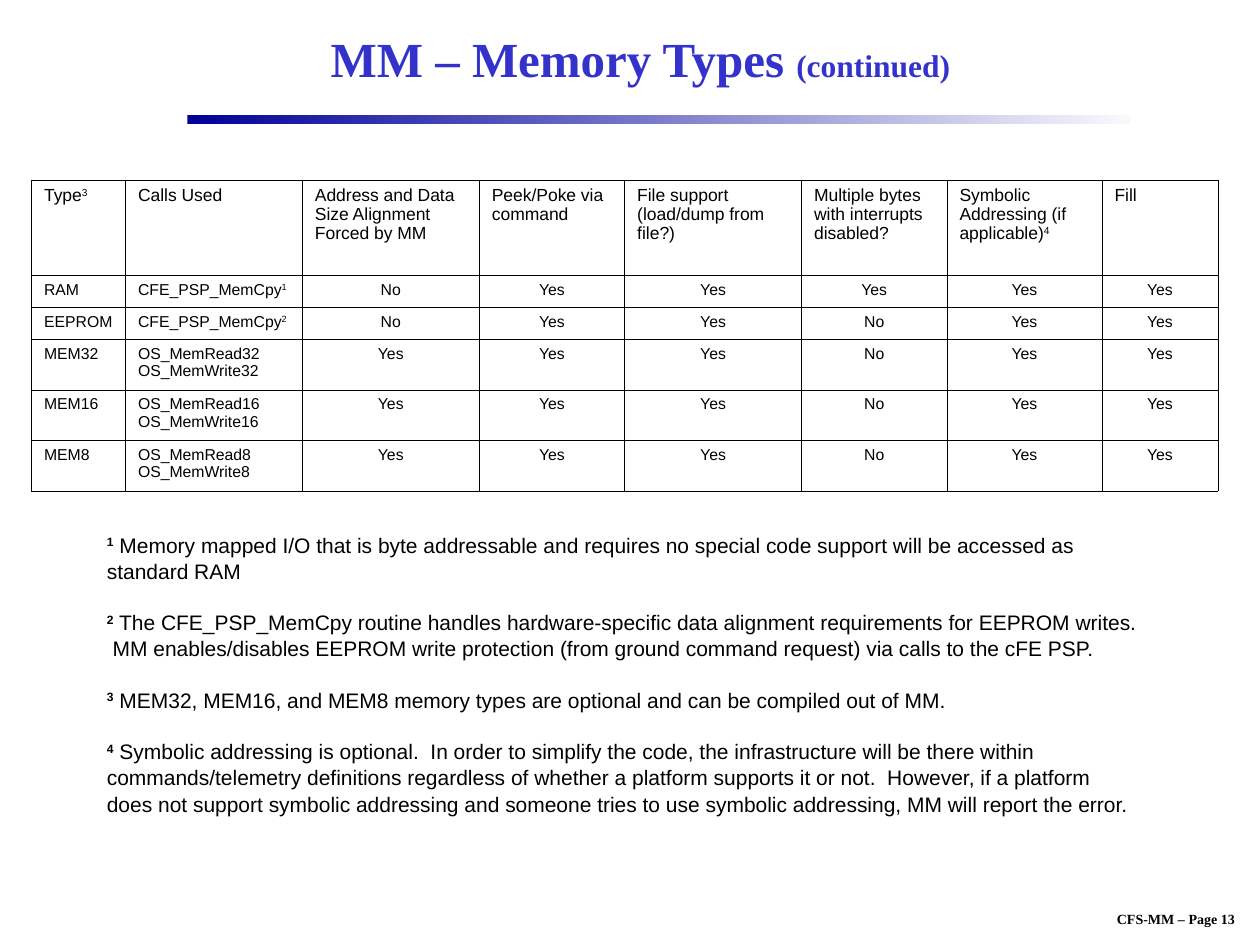
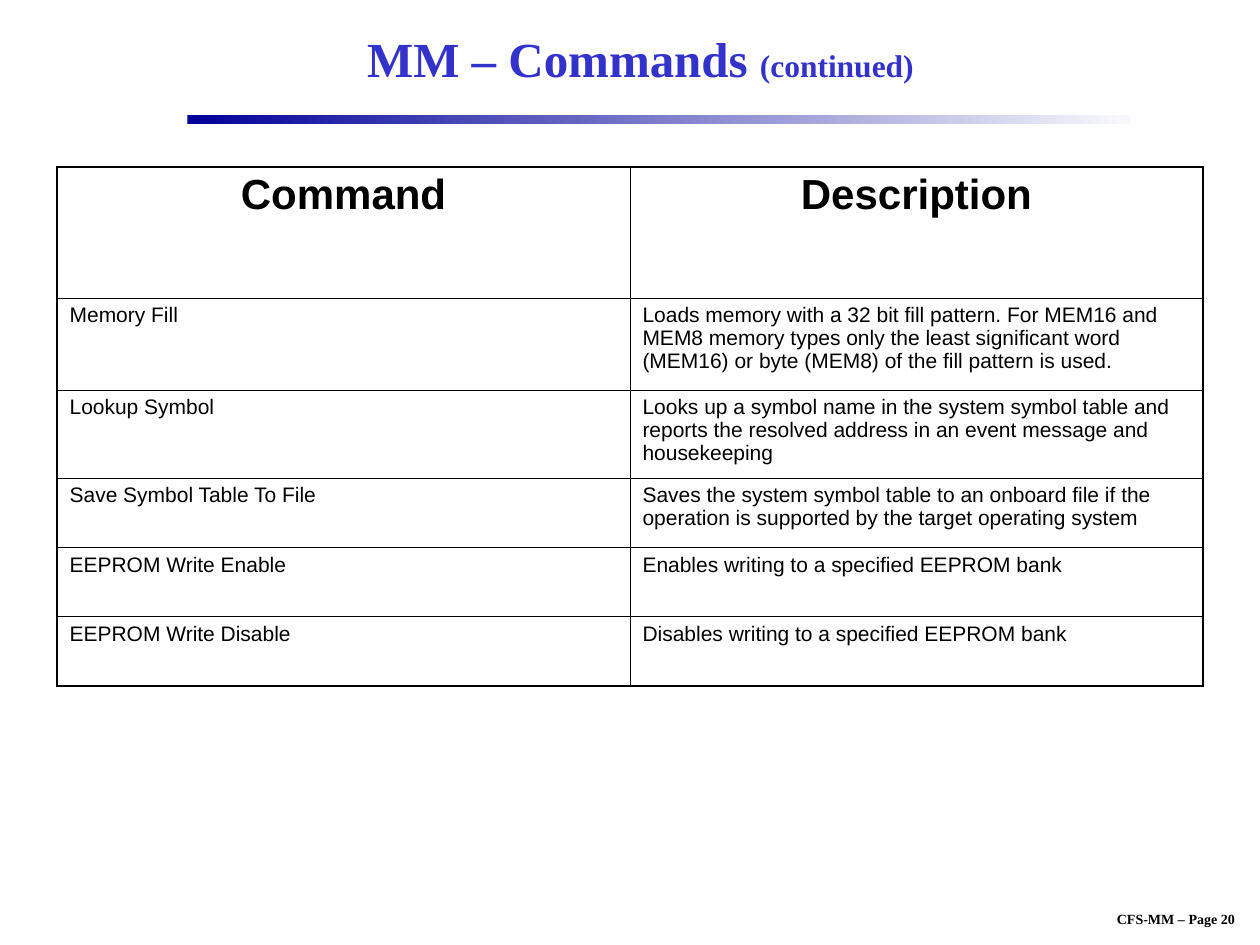
from dataclasses import dataclass
from typing import NamedTuple

from lxml import etree
from pptx import Presentation
from pptx.dml.color import RGBColor
from pptx.enum.shapes import MSO_SHAPE
from pptx.enum.text import MSO_ANCHOR, PP_ALIGN
from pptx.oxml.ns import qn
from pptx.util import Pt

RECTANGLE = MSO_SHAPE.RECTANGLE
LEFT, CENTER = PP_ALIGN.LEFT, PP_ALIGN.CENTER
MIDDLE, TOP = MSO_ANCHOR.MIDDLE, MSO_ANCHOR.TOP


@dataclass(frozen=True)
class Theme:
    title_color: str = "3333CC"
    ink: str = "000000"
    band_start: str = "000099"
    band_end: str = "F9F9FD"
    serif: str = "Times New Roman"
    sans: str = "Arial"
    title_size: float = 28
    subtitle_size: float = 18
    footer_size: float = 8
    note_size: float = 12
    note_leading: float = 1.04
    note_gap: float = 14.4
    table_leading: float = 0.97
    thin: float = 0.45
    thick: float = 1.08


THEME = Theme()


class Box(NamedTuple):
    left: float
    top: float
    width: float
    height: float


class Style(NamedTuple):
    size: float
    font: str = THEME.sans
    bold: bool = False
    color: str = THEME.ink


@dataclass(frozen=True)
class Grid:
    """A ruled table; the first row of cells is its heading."""
    left: float
    top: float
    col_widths: list[float]
    row_heights: list[float]
    rows: list[list[str]]
    head: Style
    body: Style
    head_align: PP_ALIGN
    text_cols: int
    frame: float


TITLE = Box(108, 5.8, 516, 54)
BAND = Box(107, 65.9, 539, 5.2)
FOOTER = Box(617, 517, 110, 16.5)
NOTES = Box(54, 300, 606, 166)

MEMORY_TYPES = Grid(
    left=18, top=102.8,
    col_widths=[53.7, 101.1, 101.1, 83.1, 101.1, 83.1, 88.6, 66.3],
    row_heights=[54.6, 18.3, 18.3, 28.9, 28.9, 28.9],
    rows=[
        ["Type^3", "Calls Used", "Address and Data Size Alignment Forced by MM",
         "Peek/Poke via command", "File support (load/dump from file?)",
         "Multiple bytes with interrupts disabled?",
         "Symbolic Addressing (if applicable)^4", "Fill"],
        ["RAM", "CFE_PSP_MemCpy^1", "No", "Yes", "Yes", "Yes", "Yes", "Yes"],
        ["EEPROM", "CFE_PSP_MemCpy^2", "No", "Yes", "Yes", "No", "Yes", "Yes"],
        *([f"MEM{bits}", f"OS_MemRead{bits}\nOS_MemWrite{bits}",
           "Yes", "Yes", "Yes", "No", "Yes", "Yes"] for bits in (32, 16, 8)),
    ],
    head=Style(10), body=Style(9), head_align=LEFT, text_cols=2, frame=THEME.thin,
)

MEMORY_NOTES = [
    "Memory mapped I/O that is byte addressable and requires no special code support "
    "will be accessed as standard RAM",
    "The CFE_PSP_MemCpy routine handles hardware-specific data alignment requirements "
    "for EEPROM writes.  MM enables/disables EEPROM write protection (from ground "
    "command request) via calls to the cFE PSP.",
    "MEM32, MEM16, and MEM8 memory types are optional and can be compiled out of MM.",
    "Symbolic addressing is optional.  In order to simplify the code, the infrastructure "
    "will be there within commands/telemetry definitions regardless of whether a platform "
    "supports it or not.  However, if a platform does not support symbolic addressing and "
    "someone tries to use symbolic addressing, MM will report the error.",
]

COMMANDS = Grid(
    left=32.6, top=95.3,
    col_widths=[327.4, 327.4],
    row_heights=[75.2, 52.5, 50.3, 39.6, 39.6, 39.6],
    rows=[
        ["Command", "Description"],
        ["Memory Fill",
         "Loads memory with a 32 bit fill pattern. For MEM16 and MEM8 memory types only "
         "the least significant word (MEM16) or byte (MEM8) of the fill pattern is used."],
        ["Lookup Symbol",
         "Looks up a symbol name in the system symbol table and reports the resolved "
         "address in an event message and housekeeping"],
        ["Save Symbol Table To File",
         "Saves the system symbol table to an onboard file if the operation is supported "
         "by the target operating system"],
        ["EEPROM Write Enable", "Enables writing to a specified EEPROM bank"],
        ["EEPROM Write Disable", "Disables writing to a specified EEPROM bank"],
    ],
    head=Style(24, bold=True), body=Style(12), head_align=CENTER, text_cols=2,
    frame=THEME.thick,
)


def place(box: Box) -> list[Pt]:
    return [Pt(v) for v in box]


def add_run(p, text: str, style: Style, raised: bool = False) -> None:
    r = p.add_run()
    r.text = text
    r.font.name = style.font
    r.font.size = Pt(style.size)
    r.font.bold = style.bold
    r.font.color.rgb = RGBColor.from_string(style.color)
    if raised:
        r._r.get_or_add_rPr().set("baseline", "30000")


def add_text_box(slide, box: Box, anchor: MSO_ANCHOR = TOP, wrap: bool = True):
    tf = slide.shapes.add_textbox(*place(box)).text_frame
    tf.word_wrap = wrap
    tf.vertical_anchor = anchor
    return tf


def add_frame(slide, heading: str, page: int) -> None:
    """Draw the footer, gradient band and title that every slide carries."""
    p = add_text_box(slide, FOOTER, wrap=False).paragraphs[0]
    p.alignment = CENTER
    add_run(p, f"CFS-MM – Page {page}", Style(THEME.footer_size, THEME.serif, True))

    band = slide.shapes.add_shape(RECTANGLE, *place(BAND))
    band.shadow.inherit = False
    band.line.fill.background()
    band.fill.gradient()
    band.fill.gradient_angle = 0
    for stop, color in zip(band.fill.gradient_stops, (THEME.band_start, THEME.band_end)):
        stop.color.rgb = RGBColor.from_string(color)

    p = add_text_box(slide, TITLE, MIDDLE).paragraphs[0]
    p.alignment = CENTER
    for text, size in ((f"{heading} ", THEME.title_size), ("(continued)", THEME.subtitle_size)):
        add_run(p, text, Style(size, THEME.serif, True, THEME.title_color))


def set_borders(cell, widths: dict[str, float]) -> None:
    tc_pr = cell._tc.get_or_add_tcPr()
    for side, width in widths.items():
        ln = etree.SubElement(tc_pr, qn(f"a:ln{side}"), w=str(int(Pt(width))))
        fill = etree.SubElement(ln, qn("a:solidFill"))
        etree.SubElement(fill, qn("a:srgbClr"), val=THEME.ink)


def fill_cell(cell, text: str, style: Style, align: PP_ALIGN) -> None:
    """Write one paragraph per line; what follows ^ is raised."""
    tf = cell.text_frame
    for i, line in enumerate(text.split("\n")):
        p = tf.add_paragraph() if i else tf.paragraphs[0]
        p.alignment = align
        p.line_spacing = THEME.table_leading
        body, _, mark = line.partition("^")
        add_run(p, body, style)
        if mark:
            add_run(p, mark, style, raised=True)


def add_grid(slide, grid: Grid) -> None:
    n_rows, n_cols = len(grid.row_heights), len(grid.col_widths)
    box = Box(grid.left, grid.top, sum(grid.col_widths), sum(grid.row_heights))
    table = slide.shapes.add_table(n_rows, n_cols, *place(box)).table
    table.first_row = table.horz_banding = False
    for col, width in zip(table.columns, grid.col_widths):
        col.width = Pt(width)
    for row, height in zip(table.rows, grid.row_heights):
        row.height = Pt(height)
    for i, texts in enumerate(grid.rows):
        for j, text in enumerate(texts):
            cell = table.cell(i, j)
            on_edge = {"L": j == 0, "R": j == n_cols - 1, "T": i == 0, "B": i == n_rows - 1}
            set_borders(cell, {side: grid.frame if edge else THEME.thin
                               for side, edge in on_edge.items()})
            cell.fill.background()
            if i == 0:
                fill_cell(cell, text, grid.head, grid.head_align)
            else:
                fill_cell(cell, text, grid.body, LEFT if j < grid.text_cols else CENTER)


def add_notes(slide, notes: list[str]) -> None:
    """Write numbered footnotes below a table."""
    tf = add_text_box(slide, NOTES)
    for number, note in enumerate(notes, 1):
        p = tf.paragraphs[0] if number == 1 else tf.add_paragraph()
        p.line_spacing = THEME.note_leading
        if number > 1:
            p.space_before = Pt(THEME.note_gap)
        add_run(p, str(number), Style(THEME.note_size, bold=True), raised=True)
        add_run(p, f" {note}", Style(THEME.note_size))


def main() -> None:
    prs = Presentation()
    prs.slide_width, prs.slide_height = Pt(720), Pt(540)
    blank = prs.slide_layouts[6]

    slide = prs.slides.add_slide(blank)
    add_frame(slide, "MM – Memory Types", 13)
    add_grid(slide, MEMORY_TYPES)
    add_notes(slide, MEMORY_NOTES)

    slide = prs.slides.add_slide(blank)
    add_frame(slide, "MM – Commands", 20)
    add_grid(slide, COMMANDS)

    prs.save("out.pptx")


if __name__ == "__main__":
    main()
